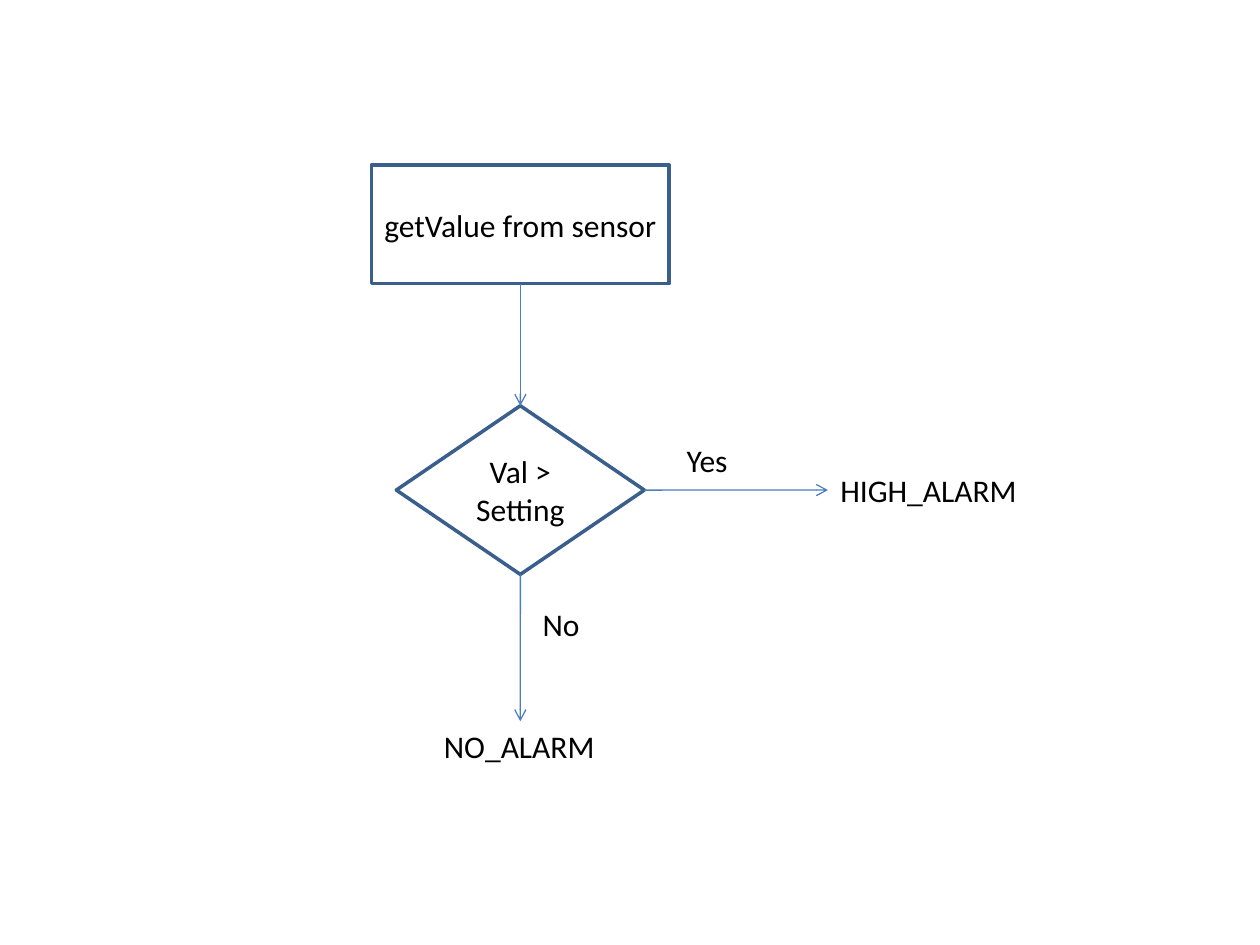
from lxml.etree import SubElement
from pptx import Presentation
from pptx.dml.color import RGBColor
from pptx.enum.shapes import MSO_CONNECTOR, MSO_SHAPE
from pptx.enum.text import MSO_ANCHOR, MSO_AUTO_SIZE, PP_ALIGN
from pptx.oxml.ns import qn
from pptx.util import Cm, Pt

COLORS = {"outline": "3A5F8C", "arrow": "4B7EBC", "text": "000000"}
TOP, LEFT, BOTTOM, RIGHT = range(4)


def write_text(shape, text):
    shape.text_frame.text = text
    font = shape.text_frame.paragraphs[0].runs[0].font
    font.name = "Calibri"
    font.size = Pt(18)
    font.color.rgb = RGBColor.from_string(COLORS["text"])


presentation = Presentation()
presentation.slide_width = Cm(25.4)
presentation.slide_height = Cm(19.05)
slide = presentation.slides.add_slide(presentation.slide_layouts[6])

steps = [
    (MSO_SHAPE.FLOWCHART_PROCESS, "getValue from sensor", 7.49, 3.33, 6, 2.39),
    (MSO_SHAPE.FLOWCHART_DECISION, "Val > Setting", 7.99, 8.18, 5, 3.4),
]
nodes = {}
for kind, text, left, top, width, height in steps:
    shape = slide.shapes.add_shape(kind, Cm(left), Cm(top), Cm(width), Cm(height))
    shape.shadow.inherit = False
    shape.fill.background()
    shape.line.color.rgb = RGBColor.from_string(COLORS["outline"])
    shape.line.width = Pt(2)
    write_text(shape, text)
    shape.text_frame.word_wrap = True
    shape.text_frame.vertical_anchor = MSO_ANCHOR.MIDDLE
    shape.text_frame.paragraphs[0].alignment = PP_ALIGN.CENTER
    nodes[text] = shape

labels = [
    ("Yes", 13.59, 8.76, 1.35),
    ("No", 10.69, 12.07, 1.27),
    ("HIGH_ALARM", 16.69, 9.37, 4.11),
    ("NO_ALARM", 8.7, 14.54, 3.58),
]
for text, left, top, width in labels:
    label = slide.shapes.add_textbox(Cm(left), Cm(top), Cm(width), Cm(1.02))
    write_text(label, text)
    label.text_frame.word_wrap = False
    label.text_frame.auto_size = MSO_AUTO_SIZE.SHAPE_TO_FIT_TEXT
    nodes[text] = label

arrows = [
    ("getValue from sensor", BOTTOM, "Val > Setting", TOP),
    ("Val > Setting", RIGHT, "HIGH_ALARM", LEFT),
    ("Val > Setting", BOTTOM, "NO_ALARM", TOP),
]
for source, source_site, target, target_site in arrows:
    arrow = slide.shapes.add_connector(MSO_CONNECTOR.STRAIGHT, 0, 0, 0, 0)
    arrow.begin_connect(nodes[source], source_site)
    arrow.end_connect(nodes[target], target_site)
    arrow.line.color.rgb = RGBColor.from_string(COLORS["arrow"])
    arrow.line.width = Pt(0.75)
    SubElement(arrow.line._get_or_add_ln(), qn("a:tailEnd"), type="arrow")
    SubElement(arrow._element.spPr, qn("a:effectLst"))

presentation.save("out.pptx")
